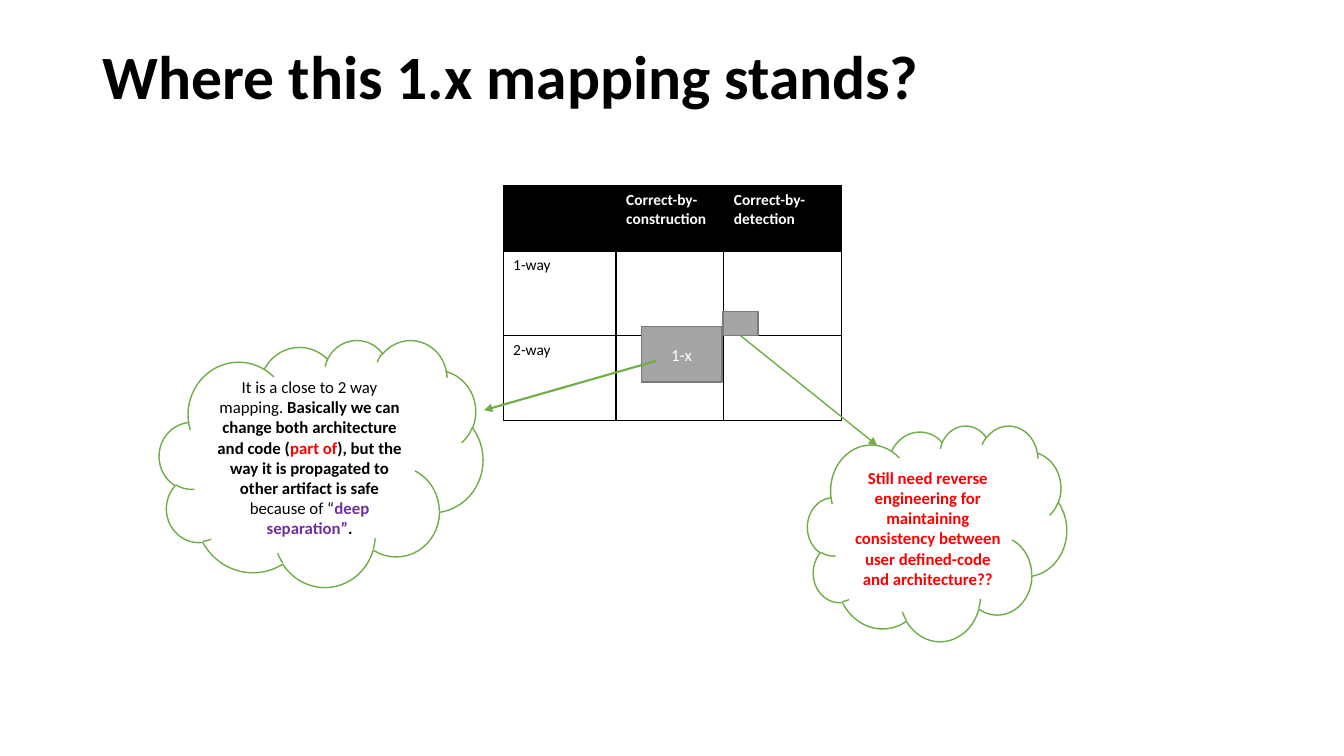
from dataclasses import dataclass

from lxml.etree import SubElement
from pptx import Presentation
from pptx.dml.color import RGBColor
from pptx.enum.shapes import MSO_CONNECTOR, MSO_SHAPE
from pptx.enum.text import MSO_ANCHOR, MSO_AUTO_SIZE, PP_ALIGN
from pptx.oxml.ns import qn
from pptx.shapes.autoshape import Shape
from pptx.shapes.connector import Connector
from pptx.slide import Slide
from pptx.table import _Cell
from pptx.text.text import TextFrame, _Paragraph
from pptx.util import Emu, Pt

EMU_PER_PX = 9144  # 100 px to the inch
BLACK, WHITE, RED, PURPLE = "000000", "FFFFFF", "FF0000", "7030A0"
GREEN, GRAY, DARK_GRAY = "70AD47", "A5A5A5", "7A7A7A"


@dataclass(frozen=True)
class Box:
    left: int
    top: int
    width: int
    height: int


@dataclass(frozen=True)
class Phrase:
    text: str
    color: str = BLACK
    bold: bool = False


@dataclass(frozen=True)
class Figure:
    kind: MSO_SHAPE
    box: Box
    fill: str
    line: str
    phrases: tuple[Phrase, ...] = ()


@dataclass(frozen=True)
class Arrow:
    start: tuple[int, int]
    end: tuple[int, int]
    weight: float


TITLE_BOX = Box(92, 40, 1150, 78)
TABLE_BOX = Box(499, 184, 336, 233)
COLUMN_WIDTHS = (112, 107, 117)
ROW_HEIGHTS = (65, 84, 84)
MAPPING_ROWS = (
    ("", "Correct-by-construction", "Correct-by-detection"),
    ("1-way", "", ""),
    ("2-way", "", ""),
)

DETECTION_CLOUD = Figure(
    MSO_SHAPE.CLOUD, Box(801, 422, 257, 214), WHITE, GREEN,
    (Phrase("Still need reverse engineering for maintaining consistency between "
            "user defined-code and architecture??", RED, True),))
MAPPING_MARK = Figure(MSO_SHAPE.RECTANGLE, Box(636, 324, 80, 55), GRAY, DARK_GRAY,
                      (Phrase("1-x", WHITE),))
DETECTION_MARK = Figure(MSO_SHAPE.RECTANGLE, Box(717, 309, 35, 24), GRAY, DARK_GRAY)
CONSTRUCTION_CLOUD = Figure(
    MSO_SHAPE.CLOUD, Box(158, 337, 321, 245), WHITE, GREEN,
    (Phrase("It is a close to 2 way mapping. "),
     Phrase("Basically we can change both architecture and code (", bold=True),
     Phrase("part of", RED, True),
     Phrase("), but the way it is propagated to other artifact is safe ", bold=True),
     Phrase("because of “"),
     Phrase("deep separation”", PURPLE, True),
     Phrase(".", bold=True)))

DETECTION_ARROW = Arrow((735, 333), (870, 442), 1)
CONSTRUCTION_ARROW = Arrow((651, 358), (480, 407), 1.5)


def px(length: int) -> Emu:
    return Emu(length * EMU_PER_PX)


def rgb(color: str) -> RGBColor:
    return RGBColor.from_string(color)


def write(paragraph: _Paragraph, text: str, *, size: float, color: str = BLACK,
          bold: bool = False) -> None:
    run = paragraph.add_run()
    run.text = text
    run.font.name = "Calibri"
    run.font.size = Pt(size)
    run.font.bold = bold
    run.font.color.rgb = rgb(color)


def set_title(slide: Slide, text: str) -> None:
    title = slide.shapes.title
    title.left, title.top = px(TITLE_BOX.left), px(TITLE_BOX.top)
    title.width, title.height = px(TITLE_BOX.width), px(TITLE_BOX.height)
    frame: TextFrame = title.text_frame
    frame.auto_size = MSO_AUTO_SIZE.NONE
    frame.vertical_anchor = MSO_ANCHOR.MIDDLE
    paragraph = frame.paragraphs[0]
    paragraph.alignment = PP_ALIGN.LEFT
    paragraph.line_spacing = 0.9
    write(paragraph, text, size=44, bold=True)


def add_borders(cell: _Cell) -> None:
    properties = cell._tc.get_or_add_tcPr()
    for side in ("a:lnL", "a:lnR", "a:lnT", "a:lnB"):
        border = SubElement(properties, qn(side), w=str(Pt(1)))
        fill = SubElement(border, qn("a:solidFill"))
        SubElement(fill, qn("a:srgbClr"), val=BLACK)


def add_mapping_table(slide: Slide) -> None:
    table = slide.shapes.add_table(
        len(ROW_HEIGHTS), len(COLUMN_WIDTHS), px(TABLE_BOX.left), px(TABLE_BOX.top),
        px(TABLE_BOX.width), px(TABLE_BOX.height)).table
    table.horz_banding = False
    for column, width in zip(table.columns, COLUMN_WIDTHS):
        column.width = px(width)
    for row, height, texts in zip(table.rows, ROW_HEIGHTS, MAPPING_ROWS):
        row.height = px(height)
        header = texts is MAPPING_ROWS[0]
        for cell, text in zip(row.cells, texts):
            add_borders(cell)
            cell.fill.solid()
            cell.fill.fore_color.rgb = rgb(BLACK if header else WHITE)
            if text:
                write(cell.text_frame.paragraphs[0], text, size=11,
                      color=WHITE if header else BLACK, bold=header)


def add_figure(slide: Slide, figure: Figure) -> Shape:
    box = figure.box
    shape = slide.shapes.add_shape(figure.kind, px(box.left), px(box.top),
                                   px(box.width), px(box.height))
    shape.shadow.inherit = False
    shape.fill.solid()
    shape.fill.fore_color.rgb = rgb(figure.fill)
    shape.line.color.rgb = rgb(figure.line)
    shape.line.width = Pt(1)
    frame = shape.text_frame
    frame.word_wrap = True
    frame.vertical_anchor = MSO_ANCHOR.MIDDLE
    paragraph = frame.paragraphs[0]
    paragraph.alignment = PP_ALIGN.CENTER
    for phrase in figure.phrases:
        write(paragraph, phrase.text, size=12, color=phrase.color, bold=phrase.bold)
    return shape


def add_arrow(slide: Slide, arrow: Arrow) -> Connector:
    connector = slide.shapes.add_connector(
        MSO_CONNECTOR.STRAIGHT, *map(px, arrow.start + arrow.end))
    connector.line.color.rgb = rgb(GREEN)
    connector.line.width = Pt(arrow.weight)
    SubElement(connector.line._get_or_add_ln(), qn("a:tailEnd"), type="triangle")
    SubElement(connector._element.spPr, qn("a:effectLst"))
    return connector


def main() -> None:
    presentation = Presentation()
    presentation.slide_width, presentation.slide_height = px(1333), px(750)
    slide = presentation.slides.add_slide(presentation.slide_layouts.get_by_name("Title Only"))
    set_title(slide, "Where this 1.x mapping stands?")
    add_mapping_table(slide)
    add_figure(slide, DETECTION_CLOUD)
    add_figure(slide, MAPPING_MARK)
    detection_mark = add_figure(slide, DETECTION_MARK)
    add_arrow(slide, DETECTION_ARROW).begin_connect(detection_mark, 2)
    add_arrow(slide, CONSTRUCTION_ARROW)
    add_figure(slide, CONSTRUCTION_CLOUD)
    presentation.save("out.pptx")


if __name__ == "__main__":
    main()
